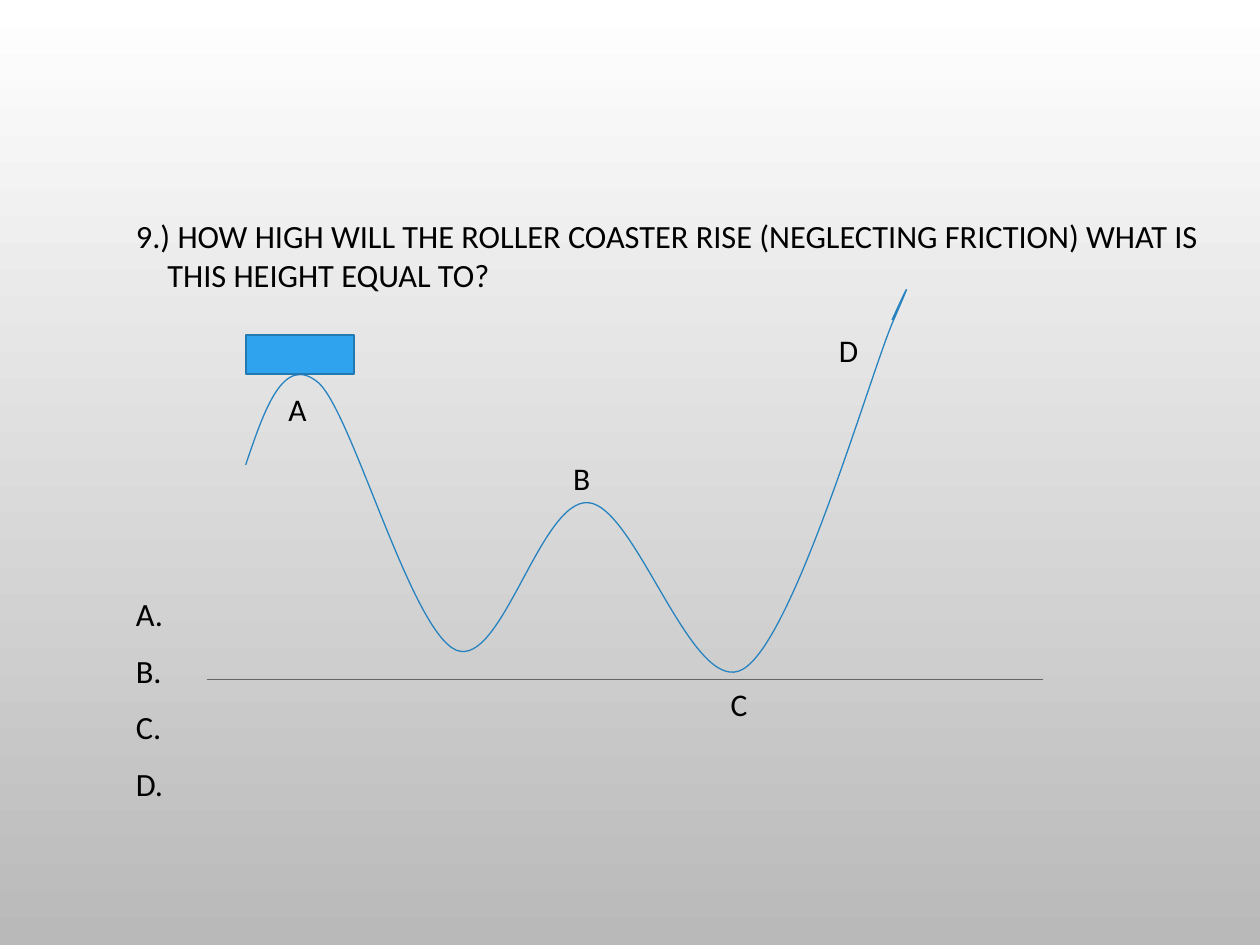
from itertools import chain

from lxml import etree
from pptx import Presentation
from pptx.dml.color import RGBColor
from pptx.enum import shapes, text
from pptx.oxml.ns import qn
from pptx.util import Inches, Pt

FONT, BLACK = "Calibri", "000000"

QUESTION = ("9.) HOW HIGH WILL THE ROLLER COASTER RISE (NEGLECTING FRICTION) "
            "WHAT IS THIS HEIGHT EQUAL TO?")
ANSWERS = ["A.", "B.", "C.", "D."]

TRACK_START = (1.95, 3.69)
TRACK_CURVES = [  # two control points and an end point each
    ((2.1, 3.25), (2.25, 2.8), (2.53, 3.04)),
    ((2.8, 3.29), (3.26, 5), (3.62, 5.16)),
    ((3.98, 5.31), (4.29, 3.96), (4.67, 3.99)),
    ((5.05, 4.02), (5.5, 5.55), (5.9, 5.31)),
    ((6.3, 5.07), (6.89, 3.03), (7.08, 2.57)),
    ((7.28, 2.11), (7.18, 2.32), (7.08, 2.54)),
]
POINT_LABELS = [("A", 2.19, 3.05, 0.37), ("B", 4.45, 3.59, 0.37),
                ("C", 5.7, 5.39, 0.36), ("D", 6.56, 2.58, 0.39)]


def color(hex_string):
    return RGBColor.from_string(hex_string)


def set_background(page, top, bottom):
    fill = page.background.fill
    fill.gradient()
    fill.gradient_angle = 270
    for stop, position, shade in zip(fill.gradient_stops, (0, 1), (top, bottom)):
        stop.position = position
        stop.color.rgb = color(shade)


def set_line(shape, shade, width):
    shape.line.color.rgb = color(shade)
    shape.line.width = Pt(width)


def add_box(page, left, top, width, height, wrap):
    box = page.shapes.add_textbox(Inches(left), Inches(top), Inches(width), Inches(height))
    frame = box.text_frame
    frame.word_wrap = wrap
    frame.vertical_anchor = text.MSO_ANCHOR.TOP
    return frame


def write(para, words, size):
    para.text = words
    para.font.name = FONT
    para.font.size = Pt(size)
    para.font.color.rgb = color(BLACK)


def add_question(page):
    frame = add_box(page, 0.98, 1.67, 8.65, 5, wrap=True)
    gaps = [None, 171.5, 10, 10, 10]  # the first answer stands below the drawing
    for index, (words, gap) in enumerate(zip([QUESTION, *ANSWERS], gaps)):
        para = frame.add_paragraph() if index else frame.paragraphs[0]
        properties = para._p.get_or_add_pPr()
        properties.set("marL", str(Inches(0.25)))
        properties.set("indent", str(-Inches(0.25)))
        if gap:
            para.space_before = Pt(gap)
        write(para, words, 18.5)


def add_label(page, words, left, top, width):
    write(add_box(page, left, top, width, 0.4, wrap=False).paragraphs[0], words, 18)


def add_track(page):
    builder = page.shapes.build_freeform(*(Inches(value) for value in TRACK_START))
    points = chain.from_iterable(TRACK_CURVES)
    builder.add_line_segments([(Inches(x), Inches(y)) for x, y in points], close=False)
    track = builder.convert_to_shape()
    # Join each three line points into one Bezier segment
    outline = next(track._element.iter(qn("a:path")))
    lines = outline.findall(qn("a:lnTo"))
    for first in range(0, len(lines), 3):
        curve = etree.SubElement(outline, qn("a:cubicBezTo"))
        for line in lines[first:first + 3]:
            curve.append(line[0])
            outline.remove(line)
    track.shadow.inherit = False
    track.fill.background()
    set_line(track, "2683BF", 0.75)


def add_car(page):
    car = page.shapes.add_shape(shapes.MSO_SHAPE.RECTANGLE, Inches(1.95), Inches(2.66),
                                Inches(0.86), Inches(0.31))
    car.shadow.inherit = False
    car.fill.solid()
    car.fill.fore_color.rgb = color("2FA3EE")
    set_line(car, "2379B0", 1.25)


def add_ground(page):
    ground = page.shapes.add_connector(shapes.MSO_CONNECTOR.STRAIGHT, Inches(1.64),
                                       Inches(5.39), Inches(8.28), Inches(5.39))
    set_line(ground, "666666", 0.5)
    etree.SubElement(ground._element.spPr, qn("a:effectLst"))


def main():
    deck = Presentation()
    deck.slide_width, deck.slide_height = Inches(10), Inches(7.5)
    page = deck.slides.add_slide(deck.slide_layouts[6])
    set_background(page, "FFFFFF", "B9B9B9")

    # Question and answer lines
    add_question(page)

    # Roller coaster
    add_track(page)
    for label in POINT_LABELS:
        add_label(page, *label)
    add_car(page)
    add_ground(page)

    deck.save("out.pptx")


if __name__ == "__main__":
    main()
